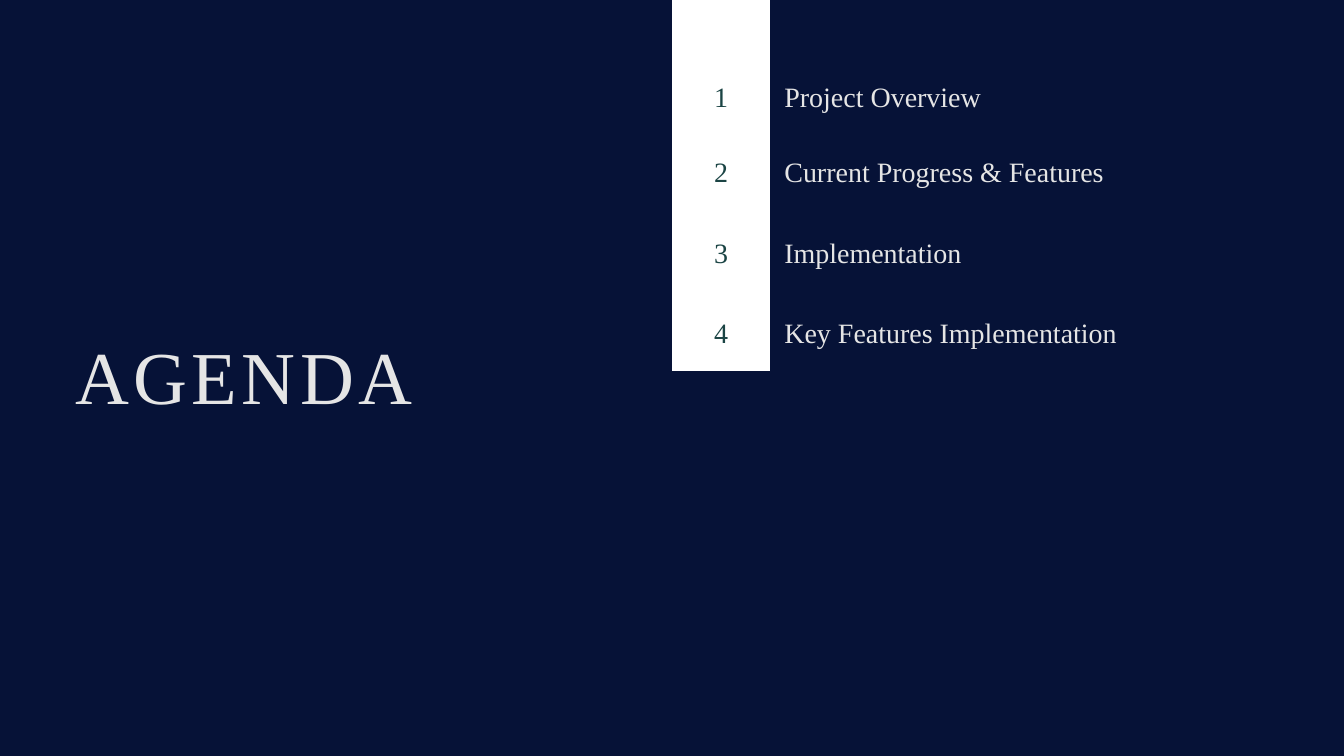
from lxml import etree
from pptx import Presentation
from pptx.dml.color import RGBColor
from pptx.enum import text
from pptx.oxml import ns
from pptx.util import Pt

NAVY = RGBColor(0x06, 0x12, 0x37)
WHITE = RGBColor(0xFF, 0xFF, 0xFF)
GREEN = RGBColor(0x1B, 0x44, 0x44)
LIGHT = RGBColor(0xE5, 0xE5, 0xE5)

TOPICS = [
    "Project Overview",
    "Current Progress & Features",
    "Implementation",
    "Key Features Implementation",
]
ROW_HEIGHTS = [156.2, 88, 85, 87]
COLUMN_WIDTHS = [105.4, 534]


class AgendaSlide:
    font_name = "Times New Roman"
    cell_inset = Pt(15)

    def __init__(self, presentation):
        self.slide = presentation.slides.add_slide(presentation.slide_layouts[6])
        fill = self.slide.background.fill
        fill.solid()
        fill.fore_color.rgb = NAVY

    def add_words(self, frame, words, size, color, line_spacing, align, tracking=None):
        """Put one run in the frame; tracking is letter spacing in points."""
        paragraph = frame.paragraphs[0]
        paragraph.alignment = align
        paragraph.line_spacing = Pt(line_spacing)
        run = paragraph.add_run()
        run.text = words
        run.font.name = self.font_name
        run.font.size = Pt(size)
        run.font.color.rgb = color
        if tracking:
            run._r.get_or_add_rPr().set("spc", str(round(tracking * 100)))

    def title(self, words, left, top, width, height):
        box = self.slide.shapes.add_textbox(Pt(left), Pt(top), Pt(width), Pt(height))
        frame = box.text_frame
        frame.word_wrap = True
        frame.auto_size = text.MSO_AUTO_SIZE.SHAPE_TO_FIT_TEXT
        frame.margin_left = frame.margin_right = 0
        frame.margin_top = frame.margin_bottom = 0
        self.add_words(frame, words, 80, LIGHT, 131.2, text.PP_ALIGN.LEFT, tracking=4.8)

    def cell(self, cell, words, color, align, anchor, fill=None):
        cell.margin_left = cell.margin_right = self.cell_inset
        cell.margin_top = cell.margin_bottom = self.cell_inset
        cell.vertical_anchor = anchor
        properties = cell._tc.get_or_add_tcPr()
        for side in ("a:lnL", "a:lnR", "a:lnT", "a:lnB"):
            border = etree.SubElement(properties, ns.qn(side), w="0")
            etree.SubElement(border, ns.qn("a:noFill"))
        if fill is None:
            cell.fill.background()
        else:
            cell.fill.solid()
            cell.fill.fore_color.rgb = fill
        self.add_words(cell.text_frame, words, 30, color, 42, align)

    def numbered_table(self, topics, left, top):
        table = self.slide.shapes.add_table(
            len(topics), 2, Pt(left), Pt(top),
            Pt(sum(COLUMN_WIDTHS)), Pt(sum(ROW_HEIGHTS)),
        ).table
        table.first_row = table.horz_banding = False
        for column, width in zip(table.columns, COLUMN_WIDTHS):
            column.width = Pt(width)
        for row, height in zip(table.rows, ROW_HEIGHTS):
            row.height = Pt(height)
        for index, topic in enumerate(topics):
            anchor = text.MSO_ANCHOR.MIDDLE if index else text.MSO_ANCHOR.BOTTOM
            self.cell(table.cell(index, 0), str(index + 1), GREEN,
                      text.PP_ALIGN.CENTER, anchor, WHITE)
            self.cell(table.cell(index, 1), topic, LIGHT,
                      text.PP_ALIGN.JUSTIFY, anchor)


def main():
    presentation = Presentation()
    presentation.slide_width = Pt(1440)
    presentation.slide_height = Pt(810)
    agenda = AgendaSlide(presentation)
    agenda.numbered_table(TOPICS, 720, -19)
    agenda.title("AGENDA", 80.6, 318.2, 470, 134.6)
    presentation.save("out.pptx")


if __name__ == "__main__":
    main()
